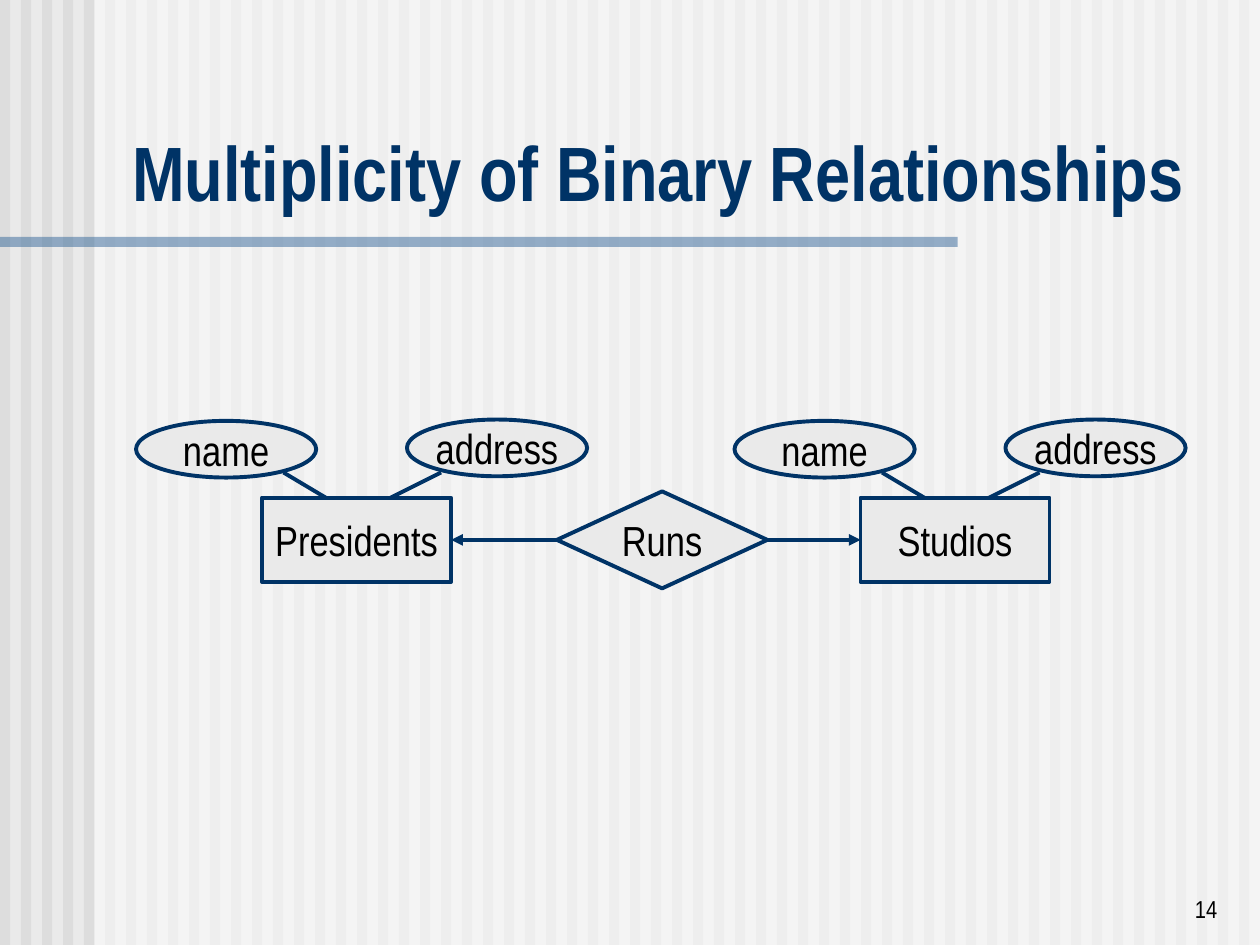
from typing import NamedTuple

from lxml.etree import SubElement
from pptx import Presentation
from pptx.dml.color import RGBColor
from pptx.enum.shapes import MSO_CONNECTOR, MSO_SHAPE
from pptx.enum.text import MSO_ANCHOR, PP_ALIGN
from pptx.oxml.ns import qn
from pptx.shapes.autoshape import Shape
from pptx.shapes.connector import Connector
from pptx.slide import Slide
from pptx.text.text import TextFrame
from pptx.util import Inches

from pptx.util import Pt

FONT = "Arial Narrow"
NAVY = RGBColor(0x00, 0x33, 0x66)
STEEL = RGBColor(0x33, 0x66, 0x99)
PALE = RGBColor(0xEA, 0xEA, 0xEA)
STRIPE = RGBColor(0xDD, 0xDD, 0xDD)
WHITE = RGBColor(0xFF, 0xFF, 0xFF)
BLACK = RGBColor(0x00, 0x00, 0x00)

LEFT_SIDE, RIGHT_SIDE = 1, 3
STRIPE_COUNT = 60
STRIPES_PER_INCH = 6


class Box(NamedTuple):
    left: float
    top: float
    width: float
    height: float

    def lengths(self) -> list[Inches]:
        return [Inches(value) for value in self]


class Entity(NamedTuple):
    name: str
    left: float


ENTITIES = [Entity("Presidents", 2.08), Entity("Studios", 6.83)]


def add_band(slide: Slide, box: Box, color: RGBColor, opacity: int = 100) -> None:
    """Add a borderless rectangle; opacity is in percent."""
    band = slide.shapes.add_shape(MSO_SHAPE.RECTANGLE, *box.lengths())
    band.shadow.inherit = False
    band.fill.solid()
    band.fill.fore_color.rgb = color
    band.line.fill.background()
    if opacity < 100:
        color_element = band.fill._xPr.find(qn("a:solidFill"))[0]
        SubElement(color_element, qn("a:alpha"), val=str(opacity * 1000))


def write(frame: TextFrame, text: str, size: int, color: RGBColor,
          align: PP_ALIGN, bold: bool = False) -> None:
    paragraph = frame.paragraphs[0]
    paragraph.alignment = align
    run = paragraph.add_run()
    run.text = text
    run.font.name = FONT
    run.font.size = Pt(size)
    run.font.bold = bold
    run.font.color.rgb = color


def add_text(slide: Slide, box: Box, text: str, size: int, color: RGBColor,
             align: PP_ALIGN, bold: bool = False) -> None:
    frame = slide.shapes.add_textbox(*box.lengths()).text_frame
    frame.word_wrap = True
    frame.vertical_anchor = MSO_ANCHOR.BOTTOM
    write(frame, text, size, color, align, bold)


def add_node(slide: Slide, kind: MSO_SHAPE, box: Box, label: str) -> Shape:
    node = slide.shapes.add_shape(kind, *box.lengths())
    node.shadow.inherit = False
    node.fill.solid()
    node.fill.fore_color.rgb = PALE
    node.line.color.rgb = NAVY
    node.line.width = Pt(2.25)
    node.text_frame.word_wrap = False
    node.text_frame.vertical_anchor = MSO_ANCHOR.MIDDLE
    write(node.text_frame, label, 24, BLACK, PP_ALIGN.CENTER)
    return node


def add_link(slide: Slide, start: tuple[float, float] = (0, 0),
             end: tuple[float, float] = (0, 0)) -> Connector:
    link = slide.shapes.add_connector(
        MSO_CONNECTOR.STRAIGHT, *(Inches(value) for value in start + end))
    link.line.color.rgb = NAVY
    link.line.width = Pt(2.25)
    SubElement(link._element.spPr, qn("a:effectLst"))
    return link


def add_arrow(slide: Slide, source: Shape, source_side: int,
              target: Shape, target_side: int) -> None:
    arrow = add_link(slide)
    arrow.begin_connect(source, source_side)
    arrow.end_connect(target, target_side)
    SubElement(arrow.line._get_or_add_ln(), qn("a:tailEnd"), type="triangle")


def add_entity(slide: Slide, entity: Entity) -> Shape:
    """Add an entity box with its two attributes; return the box."""
    left = entity.left
    add_node(slide, MSO_SHAPE.OVAL, Box(left - 1, 3.34, 1.43, 0.45), "name")
    add_node(slide, MSO_SHAPE.OVAL, Box(left + 1.15, 3.33, 1.43, 0.45), "address")
    add_link(slide, (left + 0.17, 3.75), (left + 0.59, 4))
    add_link(slide, (left + 1.42, 3.75), (left + 0.92, 4))
    return add_node(slide, MSO_SHAPE.RECTANGLE, Box(left, 3.95, 1.5, 0.67), entity.name)


def add_backdrop(slide: Slide) -> None:
    slide.background.fill.solid()
    slide.background.fill.fore_color.rgb = PALE
    for index in range(STRIPE_COUNT):
        add_band(slide, Box(index / STRIPES_PER_INCH, 0, 0.08, 7.5), STRIPE)
    add_band(slide, Box(0.75, 0, 9.25, 7.5), WHITE, 50)
    add_band(slide, Box(0, 1.88, 7.6, 0.08), STEEL, 50)


def main() -> None:
    presentation = Presentation()
    presentation.slide_width = Inches(10)
    presentation.slide_height = Inches(7.5)
    slide = presentation.slides.add_slide(presentation.slide_layouts[6])

    add_backdrop(slide)
    add_text(slide, Box(0.95, 0.94, 8.93, 0.83), "Multiplicity of Binary Relationships",
             44, NAVY, PP_ALIGN.LEFT, bold=True)
    presidents, studios = [add_entity(slide, entity) for entity in ENTITIES]
    runs = add_node(slide, MSO_SHAPE.DIAMOND, Box(4.42, 3.9, 1.67, 0.77), "Runs")
    add_arrow(slide, runs, LEFT_SIDE, presidents, RIGHT_SIDE)
    add_arrow(slide, runs, RIGHT_SIDE, studios, LEFT_SIDE)
    add_text(slide, Box(7.68, 6.88, 2.08, 0.5), "14", 14, BLACK, PP_ALIGN.RIGHT)

    presentation.save("out.pptx")


if __name__ == "__main__":
    main()
